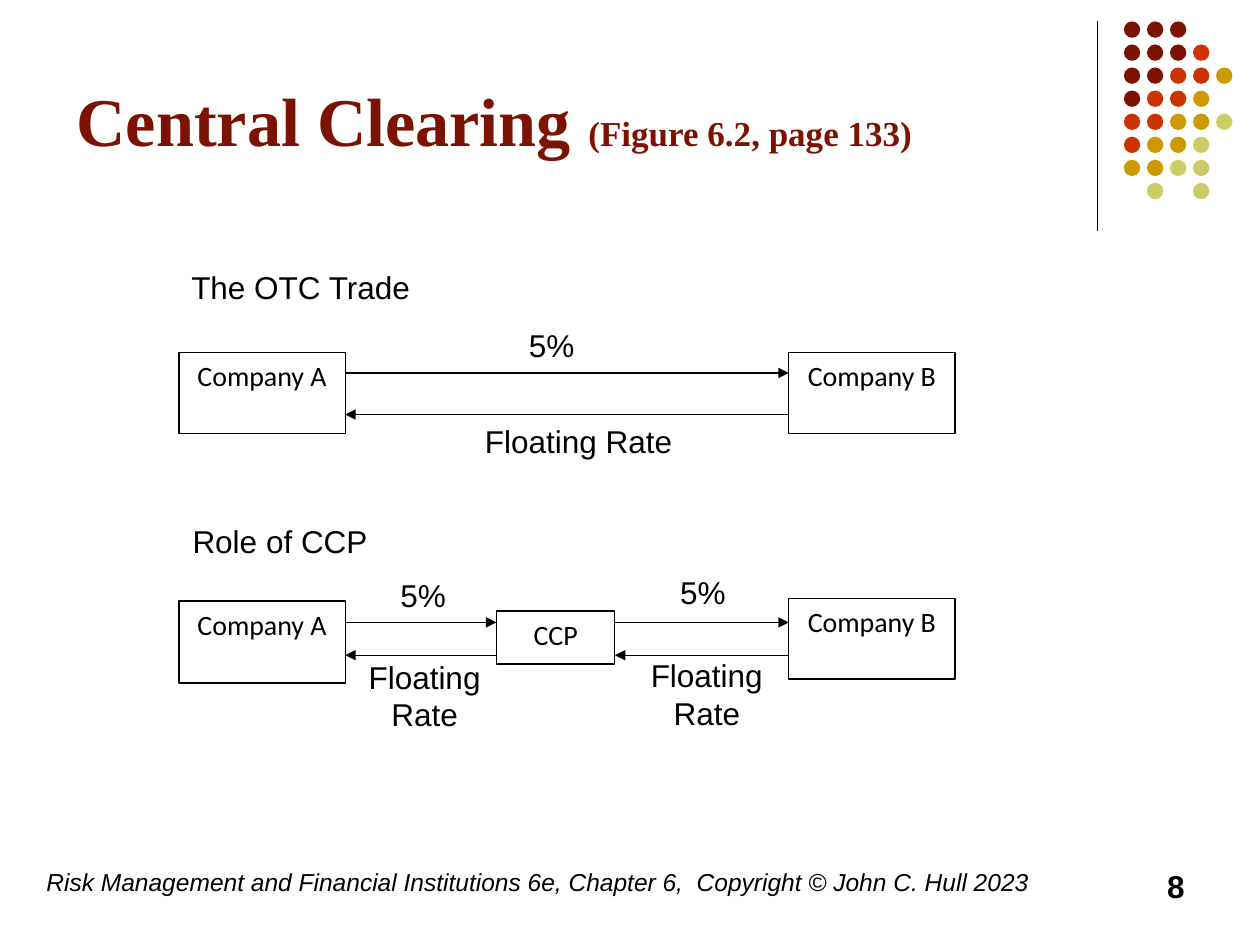
from lxml import etree
from pptx import Presentation
from pptx.dml.color import RGBColor
from pptx.enum.shapes import MSO_CONNECTOR, MSO_SHAPE
from pptx.enum.text import MSO_ANCHOR, PP_ALIGN
from pptx.oxml.ns import qn
from pptx.util import Inches, Pt

STRAIGHT = MSO_CONNECTOR.STRAIGHT
RECTANGLE, OVAL = MSO_SHAPE.RECTANGLE, MSO_SHAPE.OVAL
TOP, BOTTOM = MSO_ANCHOR.TOP, MSO_ANCHOR.BOTTOM
LEFT, CENTER, RIGHT = PP_ALIGN.LEFT, PP_ALIGN.CENTER, PP_ALIGN.RIGHT

BLACK = RGBColor(0x00, 0x00, 0x00)
WHITE = RGBColor(0xFF, 0xFF, 0xFF)
MAROON = RGBColor(0x7C, 0x13, 0x02)
DOT_COLORS = {
    "m": MAROON,
    "r": RGBColor(0xCC, 0x33, 0x00),
    "g": RGBColor(0xCC, 0x99, 0x00),
    "y": RGBColor(0xCC, 0xCC, 0x66),
}

# One letter per dot, a blank where there is none
DOT_ROWS = ["mmm", "mmmr", "mmrrg", "mrrg", "rrggy", "rggy", "ggyy", " y y"]
DOT_LEFT, DOT_TOP, DOT_PITCH, DOT_SIZE = 8.92, 0.17, 0.183, 0.13

TITLE_SPANS = [("Central Clearing ", 39), ("(Figure 6.2, page 133)", 20)]
FOOTER = "Risk Management and Financial Institutions 6e, Chapter 6,  Copyright © John C. Hull 2023"
PAGE_NUMBER = "8"

# Edges shared by the party boxes and the arrows between them
A_LEFT, A_RIGHT = 1.42, 2.74
CCP_LEFT, CCP_RIGHT = 3.94, 4.88
B_LEFT, B_RIGHT = 6.26, 7.58

# name, left, right, top, height
PARTIES = [
    ("Company A", A_LEFT, A_RIGHT, 2.8, 0.64),
    ("Company B", B_LEFT, B_RIGHT, 2.8, 0.64),
    ("Company A", A_LEFT, A_RIGHT, 4.77, 0.65),
    ("Company B", B_LEFT, B_RIGHT, 4.75, 0.64),
    ("CCP", CCP_LEFT, CCP_RIGHT, 4.85, 0.42),
]

# left party's edge, right party's edge, y of fixed leg, y of floating leg
SWAPS = [
    (A_RIGHT, B_LEFT, 2.96, 3.29),
    (A_RIGHT, CCP_LEFT, 4.94, 5.2),
    (CCP_RIGHT, B_LEFT, 4.94, 5.2),
]

# text, left, top, width, height, alignment
LABELS = [
    ("The OTC Trade", 1.42, 2.08, 2.53, 0.42, LEFT),
    ("5%", 4.1, 2.54, 0.96, 0.42, LEFT),
    ("Floating Rate", 3.75, 3.3, 2.09, 0.42, LEFT),
    ("Role of CCP", 1.43, 4.09, 1.93, 0.42, LEFT),
    ("5%", 3.08, 4.52, 0.96, 0.43, LEFT),
    ("5%", 5.3, 4.5, 0.96, 0.43, LEFT),
    ("Floating Rate", 2.59, 5.17, 1.56, 0.73, CENTER),
    ("Floating Rate", 4.83, 5.16, 1.56, 0.73, CENTER),
]


def write(shape, spans, font="Arial", color=BLACK, align=LEFT, bold=False, italic=False):
    """Fill a shape with one paragraph of (text, size) spans."""
    frame = shape.text_frame
    frame.word_wrap = True
    frame.vertical_anchor = TOP
    para = frame.paragraphs[0]
    para.alignment = align
    for text, size in spans:
        span = para.add_run()
        span.text = text
        span.font.name = font
        span.font.size = Pt(size)
        span.font.bold = bold
        span.font.italic = italic
        span.font.color.rgb = color


def add_text(slide, left, top, width, height, spans, **style):
    box = slide.shapes.add_textbox(Inches(left), Inches(top), Inches(width), Inches(height))
    write(box, spans, **style)
    return box


def add_filled(slide, kind, left, top, width, height, color):
    shape = slide.shapes.add_shape(kind, Inches(left), Inches(top), Inches(width), Inches(height))
    shape.shadow.inherit = False
    shape.fill.solid()
    shape.fill.fore_color.rgb = color
    shape.line.fill.background()
    return shape


def outline(line):
    line.color.rgb = BLACK
    line.width = Pt(0.75)


def add_line(slide, x1, y1, x2, y2, arrow=False):
    line = slide.shapes.add_connector(STRAIGHT, Inches(x1), Inches(y1), Inches(x2), Inches(y2))
    outline(line.line)
    properties = line._element.spPr
    if arrow:
        etree.SubElement(properties.find(qn("a:ln")), qn("a:tailEnd"), type="triangle")
    etree.SubElement(properties, qn("a:effectLst"))


def add_dots(slide):
    for row, letters in enumerate(DOT_ROWS):
        for column, letter in enumerate(letters):
            if letter in DOT_COLORS:
                add_filled(slide, OVAL, DOT_LEFT + column * DOT_PITCH, DOT_TOP + row * DOT_PITCH,
                           DOT_SIZE, DOT_SIZE, DOT_COLORS[letter])


def main():
    deck = Presentation()
    deck.slide_width, deck.slide_height = Inches(10), Inches(7.5)
    page = deck.slides.add_slide(deck.slide_layouts[6])

    add_line(page, 8.71, 0.17, 8.71, 1.83)
    add_dots(page)

    title = add_text(page, 0.51, 0.21, 8.25, 1.42, TITLE_SPANS,
                     font="Times New Roman", color=MAROON, bold=True)
    title.text_frame.vertical_anchor = BOTTOM
    title.text_frame.margin_bottom = Inches(0.36)

    add_text(page, 0.27, 6.83, 8.27, 0.5, [(FOOTER, 14)], italic=True)
    add_text(page, 7.17, 6.83, 2.33, 0.5, [(PAGE_NUMBER, 18)], align=RIGHT, bold=True)

    for name, left, right, top, height in PARTIES:
        party = add_filled(page, RECTANGLE, left, top, right - left, height, WHITE)
        outline(party.line)
        write(party, [(name, 16)], font="Calibri", align=CENTER)

    for left, right, fixed_y, floating_y in SWAPS:
        add_line(page, left, fixed_y, right, fixed_y, arrow=True)
        add_line(page, right, floating_y, left, floating_y, arrow=True)

    for text, left, top, width, height, align in LABELS:
        add_text(page, left, top, width, height, [(text, 18)], align=align)

    deck.save("out.pptx")


if __name__ == "__main__":
    main()
